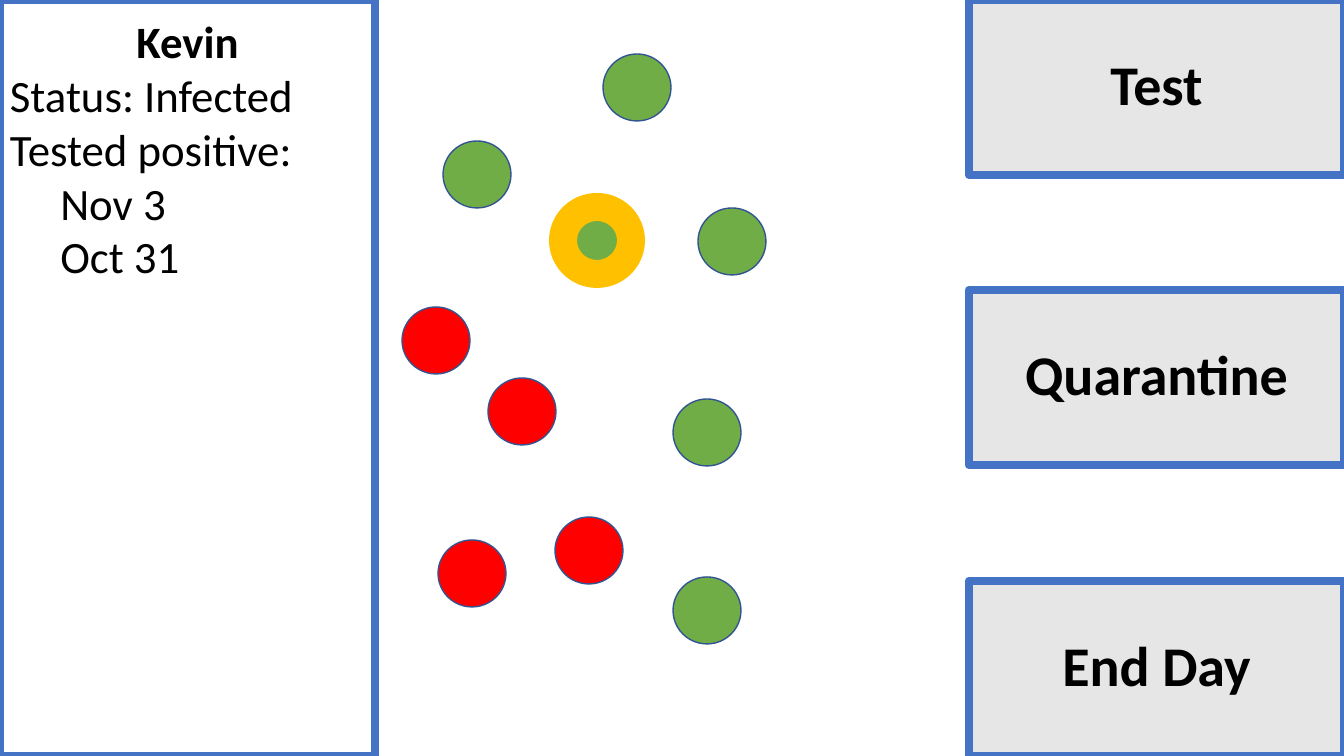
from pptx import Presentation
from pptx.dml.color import RGBColor
from pptx.enum.shapes import MSO_SHAPE
from pptx.enum.text import MSO_ANCHOR, PP_ALIGN
from pptx.util import Emu, Pt

RECTANGLE, OVAL = MSO_SHAPE.RECTANGLE, MSO_SHAPE.OVAL
LEFT, CENTER = PP_ALIGN.LEFT, PP_ALIGN.CENTER
TOP, MIDDLE = MSO_ANCHOR.TOP, MSO_ANCHOR.MIDDLE

EMU_PER_PIXEL = 914400 / 100.8
WIDTH, HEIGHT = 1344, 756
SIDE_WIDTH = 375
BLANK_LAYOUT = 6
FONT = "Calibri"
BLACK, BLUE, DARK_BLUE = "000000", "4472C4", "325491"
GREY, GREEN, RED, AMBER = "E7E6E6", "70AD47", "FF0000", "FFC000"

BUTTONS = ["Test", "Quarantine", "End Day"]
BUTTON_HEIGHT = 175
PERSON_SIZE = (68, 67)
# Left and top of each person, relative to the map area
HEALTHY = [(68, 141), (323, 208), (298, 399), (298, 577), (228, 54)]
INFECTED = [(113, 378), (180, 517), (63, 540), (27, 307)]
SELECTED = (188, 207)


def px(pixels):
    """Turn whole pixels into EMU."""
    return Emu(round(pixels * EMU_PER_PIXEL))


def color(hex_string):
    """Turn a hex string into a colour."""
    return RGBColor.from_string(hex_string)


def add_box(slide, kind, box, fill=None, line=BLUE, line_width=6):
    """Add a preset shape with a plain fill and outline."""
    shape = slide.shapes.add_shape(kind, *map(px, box))
    shape.shadow.inherit = False
    if fill:
        shape.fill.solid()
        shape.fill.fore_color.rgb = color(fill)
    else:
        shape.fill.background()
    shape.line.color.rgb = color(line)
    shape.line.width = Pt(line_width)
    return shape


def write(paragraph, text, size=32, bold=False, align=LEFT):
    """Write one formatted run into a paragraph."""
    paragraph.alignment = align
    run = paragraph.add_run()
    run.text = text
    run.font.name = FONT
    run.font.size = Pt(size)
    run.font.bold = bold
    run.font.color.rgb = color(BLACK)


def add_buttons(slide, left, top, width, height):
    """Spread the action buttons evenly from the top to the bottom of the box."""
    step = (height - BUTTON_HEIGHT) / (len(BUTTONS) - 1)
    for index, label in enumerate(BUTTONS):
        box = (left, round(top + index * step), width, BUTTON_HEIGHT)
        frame = add_box(slide, RECTANGLE, box, fill=GREY).text_frame
        frame.word_wrap = True
        frame.vertical_anchor = MIDDLE
        paragraph = frame.paragraphs[0]
        paragraph.line_spacing = 0.9
        paragraph.space_before = Pt(10)
        write(paragraph, label, size=40, bold=True, align=CENTER)


def add_people(slide, left, top):
    """Place the circles for people, the selected one with a thick ring."""
    people = [(place, GREEN, DARK_BLUE, 1) for place in HEALTHY]
    people += [(place, RED, DARK_BLUE, 1) for place in INFECTED]
    people.append((SELECTED, GREEN, AMBER, 20))
    for (x, y), fill, line, line_width in people:
        add_box(slide, OVAL, (left + x, top + y, *PERSON_SIZE),
                fill=fill, line=line, line_width=line_width)


def add_details(slide, left, top, width, height):
    """Add the outlined panel with the selected person's details."""
    add_box(slide, RECTANGLE, (left, top, width, height))
    text_box = slide.shapes.add_textbox(*map(px, (left, top + 9, width, 281)))
    frame = text_box.text_frame
    frame.word_wrap = True
    frame.vertical_anchor = TOP
    write(frame.paragraphs[0], "Kevin", bold=True, align=CENTER)
    for text in ["Status: Infected", "Tested positive:", "\tNov 3", "\tOct 31"]:
        write(frame.add_paragraph(), text)


def main():
    """Build the slide and save it."""
    presentation = Presentation()
    presentation.slide_width, presentation.slide_height = px(WIDTH), px(HEIGHT)
    slide = presentation.slides.add_slide(presentation.slide_layouts[BLANK_LAYOUT])
    add_buttons(slide, WIDTH - SIDE_WIDTH, 0, SIDE_WIDTH, HEIGHT)
    add_people(slide, SIDE_WIDTH, 0)
    add_details(slide, 0, 0, SIDE_WIDTH, HEIGHT)
    presentation.save("out.pptx")


main()
